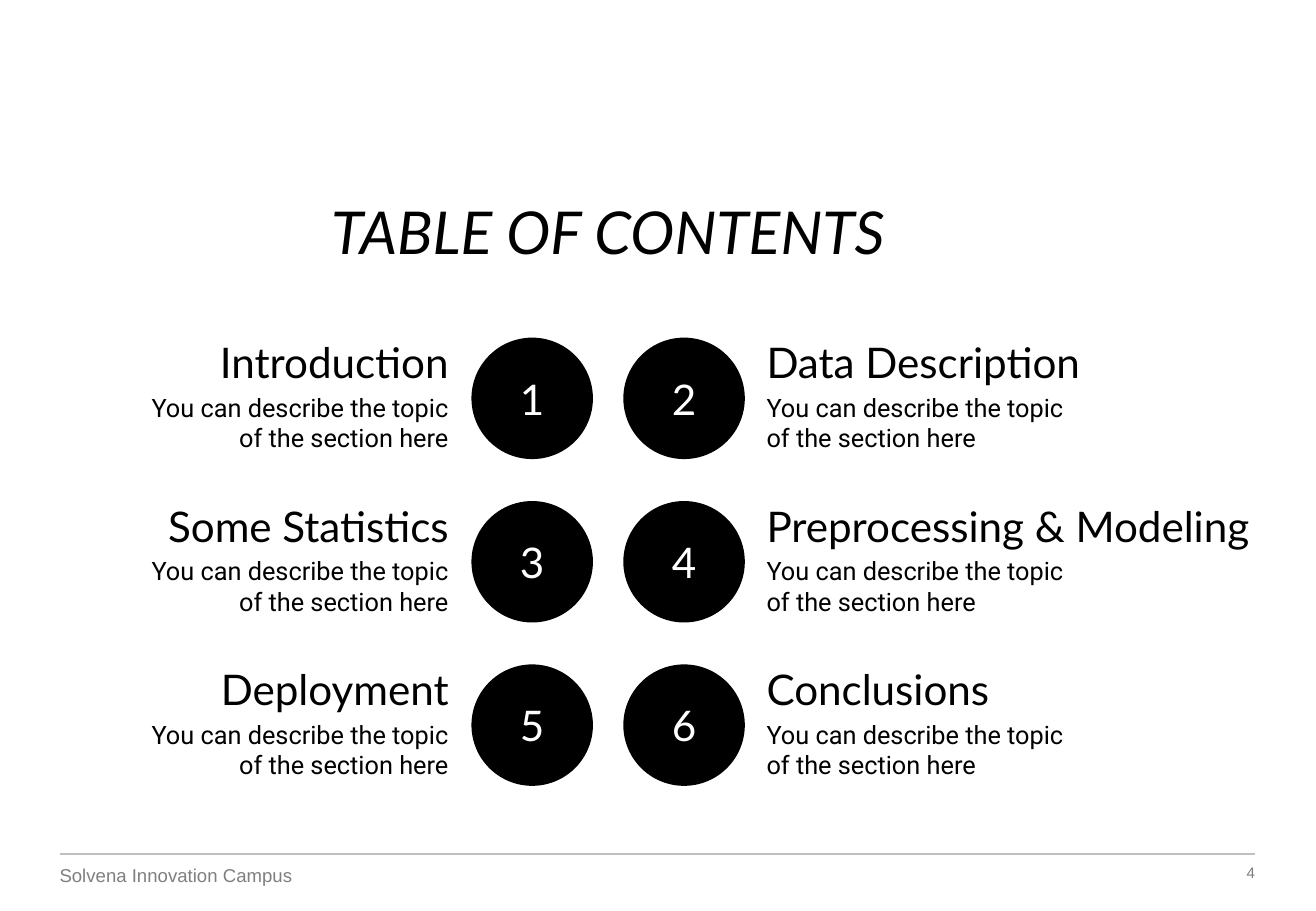
import pptx
import pptx.dml.color
import pptx.enum.shapes
import pptx.enum.text
import pptx.oxml
import pptx.util

PX = 4572  # 200 px to the inch
ALIGN = pptx.enum.text.PP_ALIGN
ANCHOR = pptx.enum.text.MSO_ANCHOR
BLACK, WHITE, GREY, RULE_GREY = "000000", "FFFFFF", "7F7F7F", "BFBFBF"
DESCRIPTION = "You can describe the topic of the section here"
# Each row: left heading, right heading, with the width of each heading
ROWS = [
    (("Introduction", 570), ("Data Description", 680)),
    (("Some Statistics", 570), ("Preprocessing & Modeling", 924)),
    (("Deployment", 570), ("Conclusions", 570)),
]


def px(*lengths):
    return [pptx.util.Emu(length * PX) for length in lengths]


def color(value):
    return pptx.dml.color.RGBColor.from_string(value)


def write(shape, text, font, size, ink, align, anchor=ANCHOR.MIDDLE, inset=20, italic=False):
    """Fill a shape with one formatted paragraph."""
    frame = shape.text_frame
    frame.text = text
    frame.word_wrap = True
    frame.auto_size = pptx.enum.text.MSO_AUTO_SIZE.NONE
    frame.vertical_anchor = anchor
    (frame.margin_left, frame.margin_top,
     frame.margin_right, frame.margin_bottom) = px(*[inset] * 4)
    paragraph = frame.paragraphs[0]
    paragraph.alignment = align
    run_font = paragraph.runs[0].font
    run_font.name = font
    run_font.size = pptx.util.Pt(size)
    run_font.italic = italic
    run_font.color.rgb = color(ink)


def add_text(slide, box, *args, **options):
    write(slide.shapes.add_textbox(*px(*box)), *args, **options)


def add_title(slide, box):
    title = slide.shapes.title
    title.left, title.top, title.width, title.height = px(*box)
    write(title, "TABLE OF CONTENTS", "Lato", 35, BLACK, ALIGN.CENTER, italic=True)


def add_number(slide, box, number):
    circle = slide.shapes.add_shape(pptx.enum.shapes.MSO_SHAPE.OVAL, *px(*box))
    circle.shadow.inherit = False
    circle.fill.solid()
    circle.fill.fore_color.rgb = color(BLACK)
    circle.line.fill.background()
    write(circle, str(number), "Lato", 25, WHITE, ALIGN.CENTER, inset=0)


def add_entry(slide, box, heading, heading_width, align):
    left, top, width, _ = box
    add_text(slide, (left, top, heading_width, 80), heading, "Lato", 25, BLACK, align)
    add_text(slide, (left, top + 80, width, 120), DESCRIPTION, "Roboto", 15, BLACK, align)


def add_contents(slide, box):
    """Place the rows of entries, with two columns of numbers between them."""
    left, top, width, height = box
    entry_width, circle, gap = 570, 200, 18
    row_step = (height - circle) // (len(ROWS) - 1)
    right = left + width - entry_width
    columns = [
        (left, left + entry_width + gap, ALIGN.RIGHT),
        (right, right - gap + 2 - circle, ALIGN.LEFT),
    ]
    number = 1
    for row, entries in enumerate(ROWS):
        row_top = top + row * row_step
        for (entry_left, circle_left, align), (heading, heading_width) in zip(columns, entries):
            add_number(slide, (circle_left, row_top, circle, circle), number)
            add_entry(slide, (entry_left, row_top, entry_width, circle),
                      heading, heading_width, align)
            number += 1


def add_footer(slide, box):
    left, top, width, height = box
    rule = slide.shapes.add_connector(
        pptx.enum.shapes.MSO_CONNECTOR.STRAIGHT, *px(left, top, left + width, top))
    rule.line.color.rgb = color(RULE_GREY)
    rule.line.width = pptx.util.Pt(0.75)
    rule._element.spPr.append(pptx.oxml.parse_xml(
        '<a:effectLst xmlns:a="http://schemas.openxmlformats.org/drawingml/2006/main"/>'))
    text_top = top + 16
    add_text(slide, (left, text_top, 632, height - 16), "Solvena Innovation Campus",
             "Arial", 11, GREY, ALIGN.LEFT, anchor=ANCHOR.TOP, inset=0)
    add_text(slide, (left + width - 134, text_top, 134, 30), "4",
             "Arial", 9, GREY, ALIGN.RIGHT, inset=0)


def main():
    presentation = pptx.Presentation()
    presentation.slide_width, presentation.slide_height = px(2166, 1500)
    slide = presentation.slides.add_slide(presentation.slide_layouts.get_by_name("Title Only"))
    add_title(slide, (158, 330, 1686, 100))
    add_contents(slide, (188, 556, 1624, 738))
    add_footer(slide, (98, 1406, 1968, 54))
    presentation.save("out.pptx")


if __name__ == "__main__":
    main()
